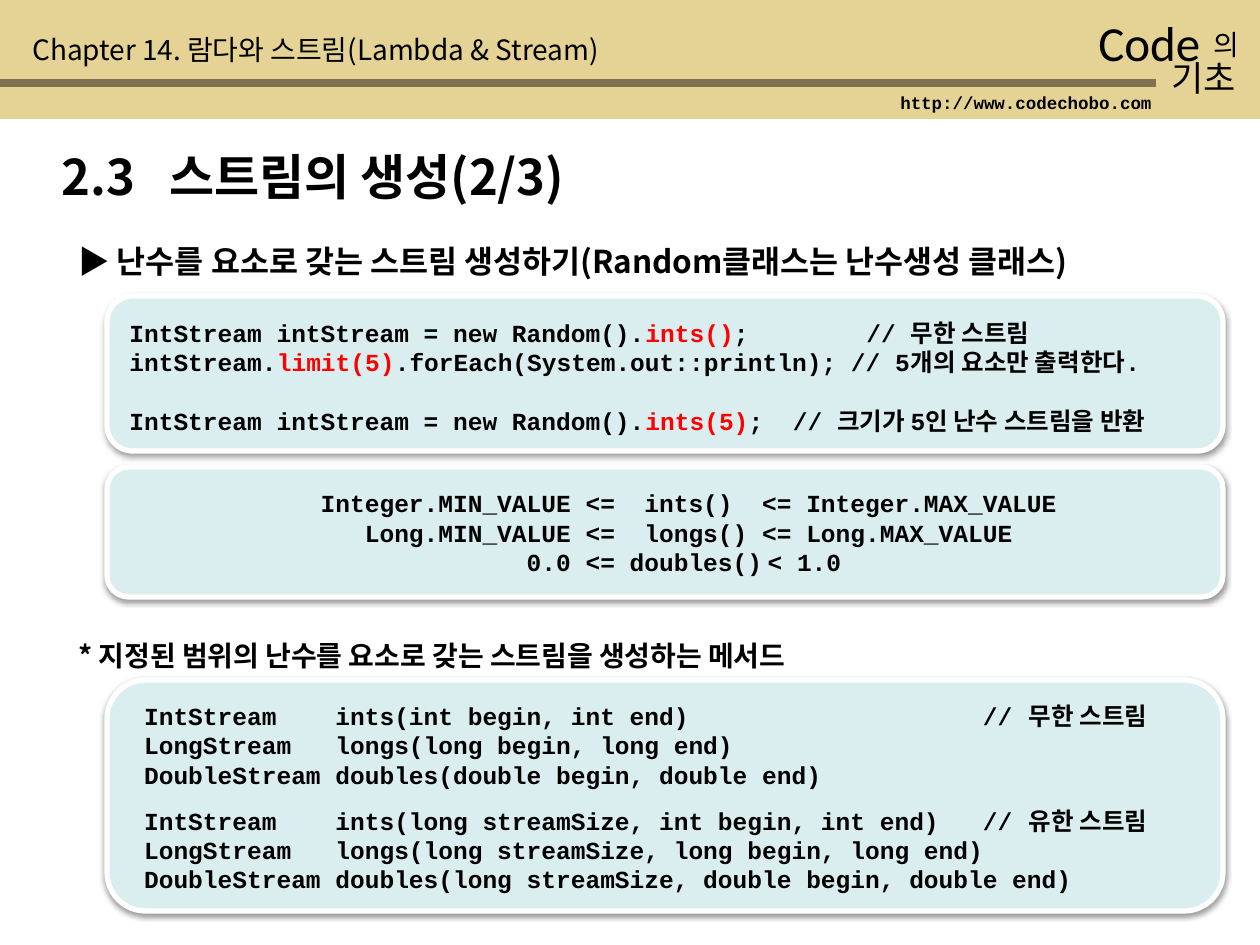
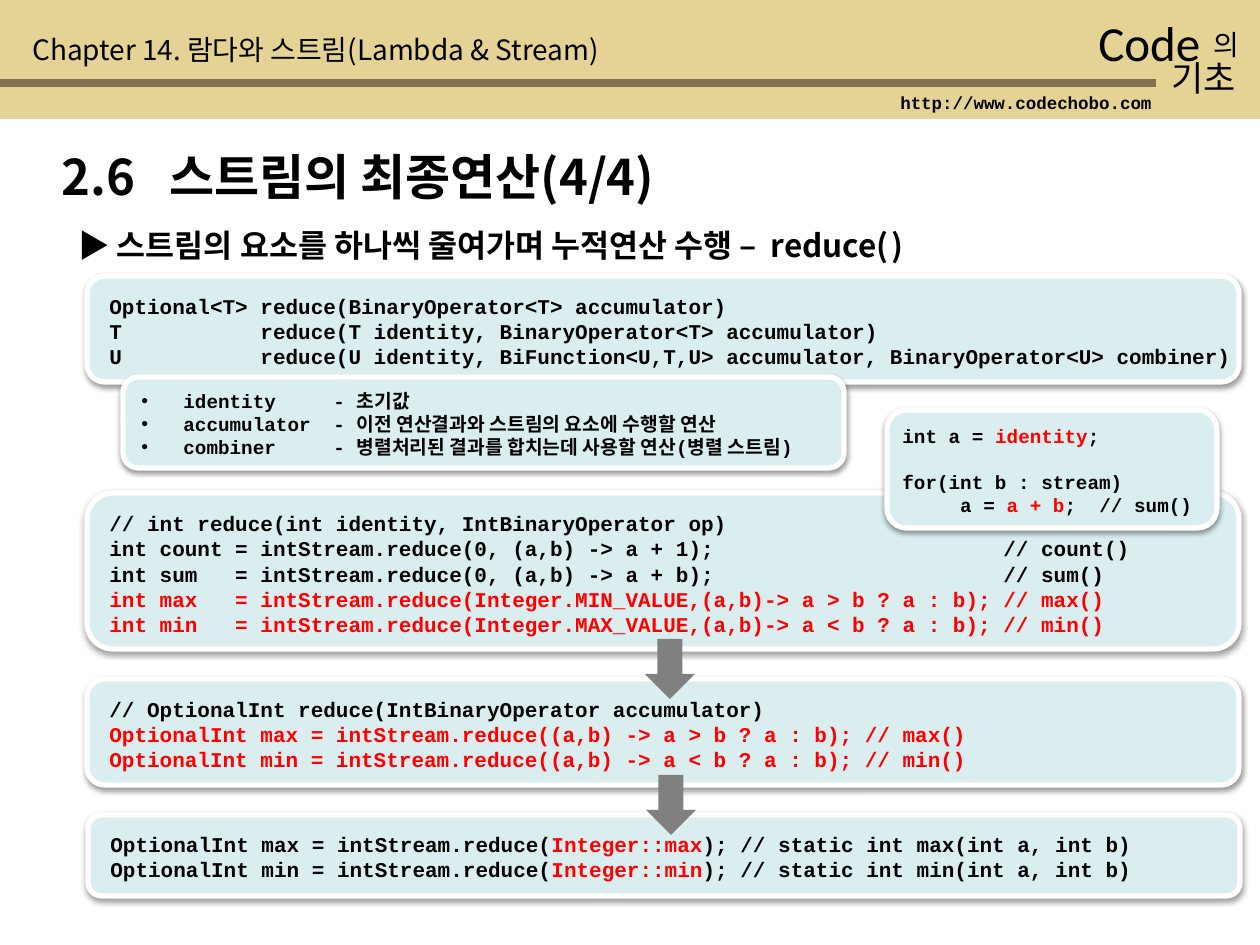
from lxml import etree
from pptx import Presentation, util as u
from pptx.dml.color import RGBColor
from pptx.enum import shapes, text
from pptx.oxml.ns import qn

COLORS = {"band": "E4D394", "rule": "817051", "panel": "DAEDEF", "white": "FFFFFF",
          "black": "000000", "red": "FF0000", "arrow": "808080"}
KOREAN, CODE, LATIN = "Noto Sans CJK KR", "Courier New", "Calibri"
EMU_PER_PX = 914400 / 126

BANDS = [((0, 0, 1260, 119), "band"), ((0, 79, 1156, 8), "rule")]
HEADER = [
    ("Code", (1086, 6, 168, 72), 28, LATIN, False),
    ("의", (1201, 21, 74, 47), 16, KOREAN, False),
    ("기초", (1159, 50, 112, 54), 20, KOREAN, False),
    ("http://www.codechobo.com", (888, 86, 277, 34), 10, CODE, True),
    ("Chapter 14. 람다와 스트림(Lambda & Stream)", (20, 26, 784, 47), 16, KOREAN, False),
]

SLIDES = [
    {"title": "2.3\t스트림의 생성(2/3)",
     "headings": [
         ("▶ 난수를 요소로 갖는 스트림 생성하기(Random클래스는 난수생성 클래스)", 236, 18),
         ("* 지정된 범위의 난수를 요소로 갖는 스트림을 생성하는 메서드", 632, 16)],
     "panels": [
         {"box": (107, 296, 1116, 155), "text_y": (311, 131), "size": 14, "gap": 17, "lines": [
             "IntStream intStream = new Random().|ints()|;        // 무한 스트림",
             "intStream.|limit(5)|.forEach(System.out::println); // 5개의 요소만 출력한다.",
             "",
             "IntStream intStream = new Random().|ints(5)|;  // 크기가 5인 난수 스트림을 반환"]},
         {"box": (107, 467, 1116, 130), "text_y": (480, 103), "size": 14, "lines": [
             "             Integer.MIN_VALUE <=  ints()  <= Integer.MAX_VALUE",
             "                Long.MIN_VALUE <=  longs() <= Long.MAX_VALUE",
             "                           0.0 <= doubles()~< 1.0"]},
         {"box": (107, 680, 1116, 231), "text_y": (692, 208), "size": 14, "gap": 9.5, "lines": [
             " IntStream    ints(int begin, int end)                    // 무한 스트림",
             " LongStream   longs(long begin, long end)",
             " DoubleStream doubles(double begin, double end)",
             "",
             " IntStream    ints(long streamSize, int begin, int end)   // 유한 스트림",
             " LongStream   longs(long streamSize, long begin, long end)",
             " DoubleStream doubles(long streamSize, double begin, double end)"]}],
     "arrows": []},
    {"title": "2.6\t스트림의 최종연산(4/4)",
     "headings": [("▶ 스트림의 요소를 하나씩 줄여가며 누적연산 수행 –  reduce(~)", 220, 18)],
     "panels": [
         {"box": (87, 276, 1152, 106), "text_y": (286, 89), "size": 12, "lines": [
             "Optional<T> reduce(BinaryOperator<T> accumulator)",
             "T           reduce(T identity, BinaryOperator<T> accumulator)",
             "U           reduce(U identity, BiFunction<U,T,U> accumulator, BinaryOperator<U> combiner)"]},
         {"box": (87, 493, 1152, 156), "text_y": (503, 140), "size": 12, "lines": [
             "// int reduce(int identity, IntBinaryOperator op)",
             "int count = intStream.reduce(0, (a,b) -> a + 1);                       // count()",
             "int sum   = intStream.reduce(0, (a,b) -> a + b);                       // sum()",
             "|int max   = intStream.reduce(Integer.MIN_VALUE,(a,b)-> a > b ? a : b); // max()",
             "|int min   = intStream.reduce(Integer.MAX_VALUE,(a,b)-> a < b ? a : b); // min()"]},
         {"box": (123, 377, 721, 91), "text_y": (382, 83), "size": 11, "dx": 6, "bullets": True, "lines": [
             "identity\t- 초기값",
             "accumulator\t- 이전 연산결과와 스트림의 요소에 수행할 연산",
             "combiner\t- 병렬처리된 결과를 합치는데 사용할 연산(병렬 스트림)"]},
         {"box": (87, 679, 1152, 106), "text_y": (689, 89), "size": 12, "lines": [
             "// OptionalInt reduce(IntBinaryOperator accumulator)",
             "|OptionalInt max = intStream.reduce((a,b) -> a > b ? a : b); // max()",
             "|OptionalInt min = intStream.reduce((a,b) -> a < b ? a : b); // min()"]},
         {"box": (88, 815, 1152, 81), "text_y": (825, 63), "size": 12, "lines": [
             "OptionalInt max = intStream.reduce(|Integer::max|); // static int max(int a, int b)",
             "OptionalInt min = intStream.reduce(|Integer::min|); // static int min(int a, int b)"]},
         {"box": (887, 410, 330, 118), "text_y": (417, 106), "size": 11, "dx": 3, "gap": 13, "lines": [
             "int a = |identity|;",
             "",
             "for(int b : stream)",
             "     a = |a + b|;  // sum()"]}],
     "arrows": [(645, 639, 50, 60), (646, 775, 50, 60)]},
]


def px(n):
    return round(n * EMU_PER_PX)


def rgb(name):
    return RGBColor.from_string(COLORS[name])


def add_block(s, kind, box, fill):
    sp = s.shapes.add_shape(kind, *map(px, box))
    sp.shadow.inherit = False
    sp.fill.solid()
    sp.fill.fore_color.rgb = rgb(fill)
    sp.line.fill.background()
    return sp


def add_tab(p, at):
    tabs = etree.SubElement(p._p.get_or_add_pPr(), qn("a:tabLst"))
    etree.SubElement(tabs, qn("a:tab"), pos=str(px(at)), algn="l")


def add_bullet(p, indent):
    pPr = p._p.get_or_add_pPr()
    pPr.set("marL", str(px(indent)))
    pPr.set("indent", str(-px(indent)))
    etree.SubElement(pPr, qn("a:buFont"), typeface="Arial")
    etree.SubElement(pPr, qn("a:buChar"), char="•")


def add_run(p, content, size, font, bold, color):
    r = p.add_run()
    r.text = content
    r.font.size, r.font.name, r.font.bold = u.Pt(size), font, bold
    r.font.color.rgb = rgb(color)
    etree.SubElement(r._r.get_or_add_rPr(), qn("a:ea"), typeface=KOREAN)


def write(p, line, size, font, bold, thin):
    for i, part in enumerate(line.split("|")):
        color = "red" if i % 2 else "black"
        for j, piece in enumerate(part.split("~")):
            if j:
                add_run(p, " ", thin, font, bold, color)
            if piece:
                add_run(p, piece, size, font, bold, color)


def add_text(s, box, lines, size, font, bold=True, thin=4, gap=0, bullets=False, tab=None, bottom=False):
    tf = s.shapes.add_textbox(*map(px, box)).text_frame
    tf.word_wrap = True
    tf.margin_right = 0
    if bottom:
        tf.vertical_anchor = text.MSO_ANCHOR.BOTTOM
    for i, line in enumerate(lines):
        if not line:
            continue
        p = tf.add_paragraph() if i else tf.paragraphs[0]
        if i and not lines[i - 1]:
            p.space_before = u.Pt(gap)
        if bullets:
            add_bullet(p, 42)
        if tab:
            add_tab(p, tab)
        write(p, line, size, font, bold, thin)


def add_panel(s, panel):
    x, y, w, h = panel["box"]
    sp = add_block(s, shapes.MSO_SHAPE.ROUNDED_RECTANGLE, panel["box"], "panel")
    sp.line.color.rgb = rgb("white")
    sp.line.width = u.Pt(3)
    effects = sp._element.spPr.find(qn("a:effectLst"))
    shadow = etree.SubElement(effects, qn("a:outerShdw"), blurRad="40000", dist="20000",
                              dir="5400000", rotWithShape="0")
    color = etree.SubElement(shadow, qn("a:srgbClr"), val=COLORS["black"])
    etree.SubElement(color, qn("a:alpha"), val="38000")
    dx = panel.get("dx", 10)
    text_top, text_height = panel["text_y"]
    bullets = panel.get("bullets", False)
    add_text(s, (x + dx, text_top, w + dx, text_height), panel["lines"], panel["size"], CODE,
             gap=panel.get("gap", 0), bullets=bullets, tab=192 if bullets else None, bottom=True)


def add_frame(s, title):
    for box, fill in BANDS:
        add_block(s, shapes.MSO_SHAPE.RECTANGLE, box, fill)
    for content, box, size, font, bold in HEADER:
        add_text(s, box, [content], size, font, bold)
    add_text(s, (49, 140, 1181, 72), [title], 28, KOREAN, tab=108)


def main():
    prs = Presentation()
    prs.slide_width, prs.slide_height = px(1260), px(945)
    for content in SLIDES:
        s = prs.slides.add_slide(prs.slide_layouts[6])
        add_frame(s, content["title"])
        for heading, top, size in content["headings"]:
            add_text(s, (66, top, 1186, 50), [heading], size, KOREAN, thin=8)
        for panel in content["panels"]:
            add_panel(s, panel)
        for box in content["arrows"]:
            add_block(s, shapes.MSO_SHAPE.DOWN_ARROW, box, "arrow")
    prs.save("out.pptx")


if __name__ == "__main__":
    main()
